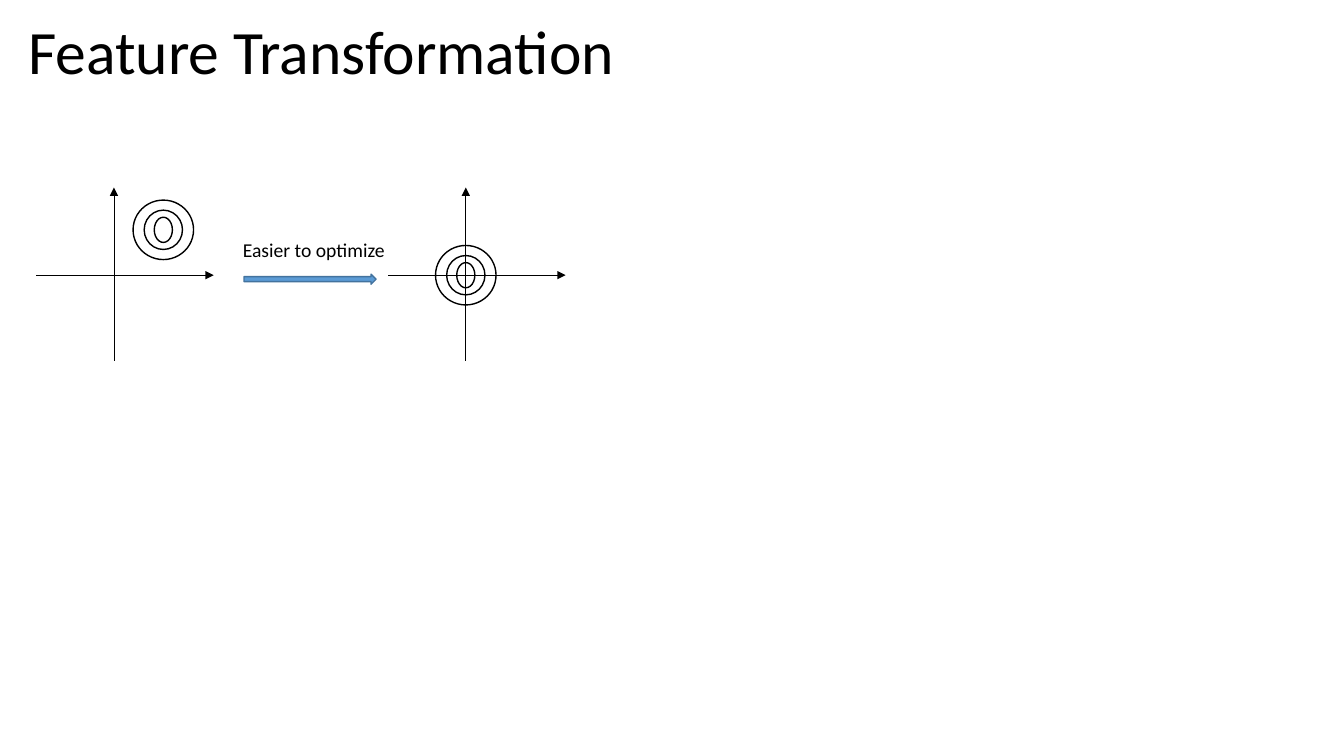
from pptx import Presentation
from pptx.dml.color import RGBColor
from pptx.enum import shapes as es, text as et
from pptx.oxml import parse_xml
from pptx.oxml.ns import nsdecls
from pptx.util import Inches, Pt


def paint(part, color):
    """Give a fill or a font one solid colour."""
    if hasattr(part, "solid"):
        part.solid()
        part.fore_color.rgb = RGBColor.from_string(color)
    else:
        part.color.rgb = RGBColor.from_string(color)


def write(frame, words, size):
    frame.text = words
    font = frame.paragraphs[0].runs[0].font
    font.name, font.size = "Calibri", Pt(size)
    paint(font, "000000")


deck = Presentation()
deck.slide_width, deck.slide_height = Inches(13.33), Inches(7.5)
slide = deck.slides.add_slide(deck.slide_layouts[5])

title = slide.shapes.title
title.left, title.top = Inches(0.18), Inches(0.14)
title.width, title.height = Inches(12.91), Inches(0.8)
write(title.text_frame, "Feature Transformation", 44)
title.text_frame.vertical_anchor = et.MSO_ANCHOR.MIDDLE
para = title.text_frame.paragraphs[0]
para.alignment = et.PP_ALIGN.LEFT
para.line_spacing = 0.9

# Each plot: x of its vertical axis, then the centre of its rings
axis_y = 2.73
plots = [(1.13, 1.62, 2.28), (4.62, 4.62, 2.73)]
rings = [(0.6, 0.59), (0.38, 0.39), (0.18, 0.25)]
for axis_x, mid_x, mid_y in plots:
    axes = [(axis_x - 0.77, axis_y, axis_x + 0.99, axis_y),
            (axis_x, 3.58, axis_x, 1.86)]
    for ends in axes:
        axis = slide.shapes.add_connector(
            es.MSO_CONNECTOR.STRAIGHT, *map(Inches, ends))
        paint(axis.line.fill, "000000")
        axis.line.width = Pt(0.5)
        axis.line._get_or_add_ln().append(
            parse_xml(f'<a:tailEnd {nsdecls("a")} type="triangle"/>'))
        axis._element.spPr.append(
            parse_xml(f'<a:effectLst {nsdecls("a")}/>'))

    group = slide.shapes.add_group_shape()
    for wide, high in rings:
        ring = group.shapes.add_shape(
            es.MSO_SHAPE.OVAL, Inches(mid_x - wide / 2),
            Inches(mid_y - high / 2), Inches(wide), Inches(high))
        ring.shadow.inherit = False
        ring.fill.background()
        paint(ring.line.fill, "000000")
        ring.line.width = Pt(1)

arrow = slide.shapes.add_shape(
    es.MSO_SHAPE.RIGHT_ARROW,
    Inches(2.42), Inches(2.72), Inches(1.31), Inches(0.1))
arrow.shadow.inherit = False
paint(arrow.fill, "5B9BD5")
paint(arrow.line.fill, "43739E")
arrow.line.width = Pt(1)

label = slide.shapes.add_textbox(
    Inches(2.31), Inches(2.31), Inches(1.69), Inches(0.34))
write(label.text_frame, "Easier to optimize", 14)
label.text_frame.word_wrap = True
label.text_frame.auto_size = et.MSO_AUTO_SIZE.SHAPE_TO_FIT_TEXT

deck.save("out.pptx")
